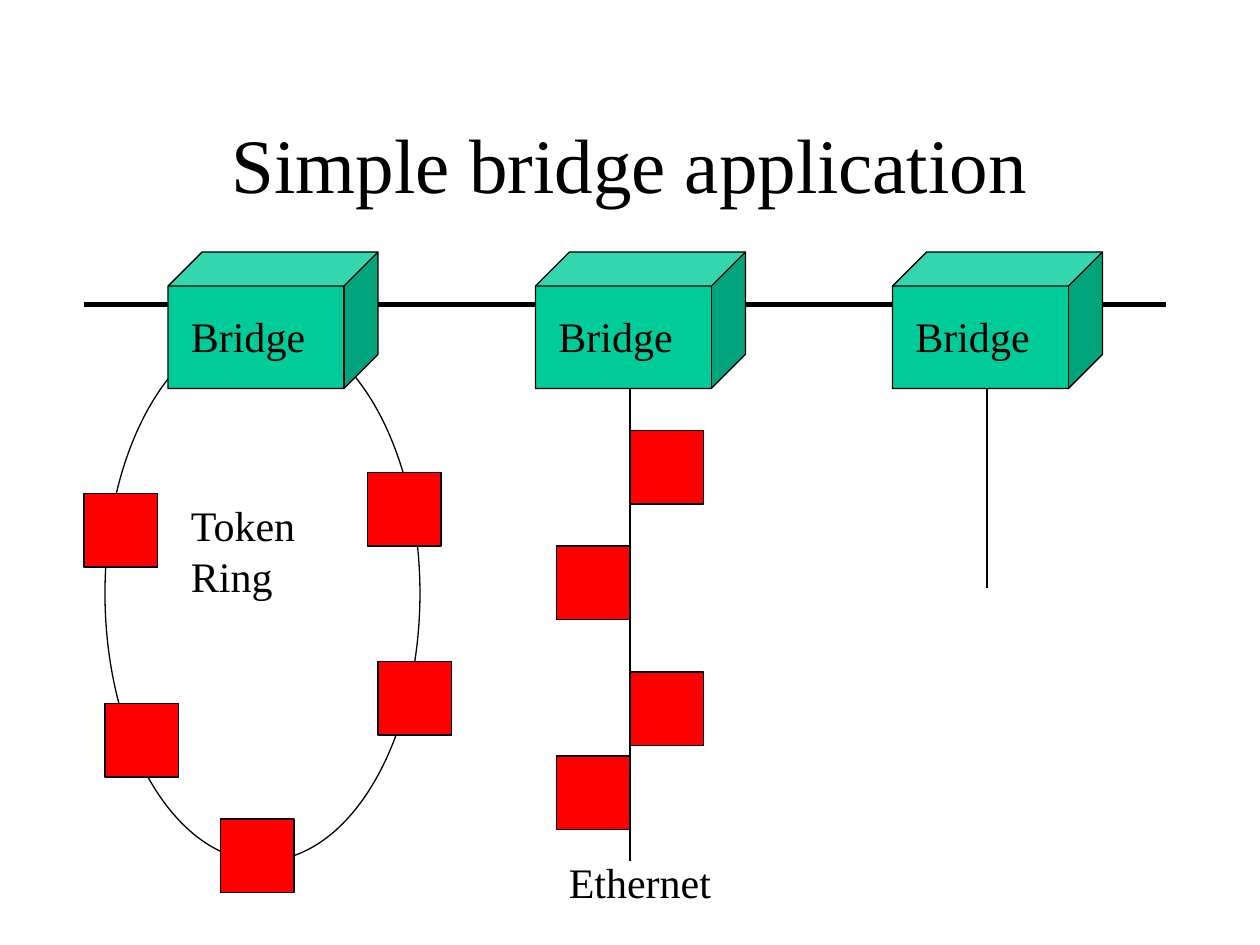
from lxml import etree
from pptx import Presentation
from pptx.dml.color import RGBColor
from pptx.enum.shapes import MSO_CONNECTOR, MSO_SHAPE
from pptx.enum.text import MSO_ANCHOR, PP_ALIGN
from pptx.oxml.ns import qn
from pptx.util import Cm, Pt

RECT, CUBE, OVAL = MSO_SHAPE.RECTANGLE, MSO_SHAPE.CUBE, MSO_SHAPE.OVAL
LINE = MSO_CONNECTOR.STRAIGHT
MID, TOP = MSO_ANCHOR.MIDDLE, MSO_ANCHOR.TOP
LEFT, CENTER = PP_ALIGN.LEFT, PP_ALIGN.CENTER

COLORS = {"ink": "000000", "bridge": "00CC99", "node": "FF0000"}
FONT = "Times New Roman"
STEP = 2.54 / 12  # grid step in cm; all places below count steps
NODE = 7  # side of a station

BRIDGES = [16, 51, 85]
RING = [(35, 45), (8, 47), (10, 67), (21, 78), (36, 63)]
ETHER = [(60, 41), (53, 52), (60, 64), (53, 72)]


def grid(*steps):
    return [Cm(n * STEP) for n in steps]


def color(name):
    return RGBColor.from_string(COLORS[name])


def edge(line, width=0.75):
    line.color.rgb = color("ink")
    line.width = Pt(width)


def add_form(slide, kind, box, fill=None):
    form = slide.shapes.add_shape(kind, *grid(*box))
    form.shadow.inherit = False
    if fill:
        form.fill.solid()
        form.fill.fore_color.rgb = color(fill)
    else:
        form.fill.background()
    edge(form.line)
    return form


def add_line(slide, start, end, width=0.75):
    line = slide.shapes.add_connector(LINE, *grid(*start, *end))
    edge(line.line, width)
    etree.SubElement(line._element.spPr, qn("a:effectLst"))


def set_text(frame, text, size, align, anchor):
    frame.word_wrap = True
    frame.vertical_anchor = anchor
    frame.text = text
    para = frame.paragraphs[0]
    para.alignment = align
    para.font.name = FONT
    para.font.size = Pt(size)
    para.font.color.rgb = color("ink")


def add_label(slide, text, box):
    label = slide.shapes.add_textbox(*grid(*box))
    set_text(label.text_frame, text, 24, LEFT, TOP)


def add_title(slide, text):
    title = slide.shapes.title
    title.left, title.top, title.width, title.height = grid(9, 8, 102, 15)
    set_text(title.text_frame, text, 44, CENTER, MID)


def add_bridge(slide, left):
    cube = add_form(slide, CUBE, (left, 24, 20, 13), "bridge")
    cube.adjustments[0] = 0.25
    add_label(slide, "Bridge", (left + 1, 29, 15, 6))


def add_nodes(slide, spots):
    for spot in spots:
        add_form(slide, RECT, (*spot, NODE, NODE), "node")


def main():
    deck = Presentation()
    deck.slide_width, deck.slide_height = Cm(25.4), Cm(19.05)
    slide = deck.slides.add_slide(deck.slide_layouts[5])
    add_title(slide, "Simple bridge application")

    # Ring and backbone run behind the bridges
    add_form(slide, OVAL, (10, 31, 30, 51))
    add_line(slide, (8, 29), (111, 29), 3)
    for left in BRIDGES:
        add_bridge(slide, left)

    # Token ring
    add_nodes(slide, RING)
    add_label(slide, "Token Ring", (17, 47, 15, 10.8))

    # Ethernet segment
    add_line(slide, (60, 37), (60, 82))
    add_nodes(slide, ETHER)
    add_label(slide, "Ethernet", (53, 81, 17, 6))

    # Open segment
    add_line(slide, (94, 37), (94, 56))

    deck.save("out.pptx")


if __name__ == "__main__":
    main()
